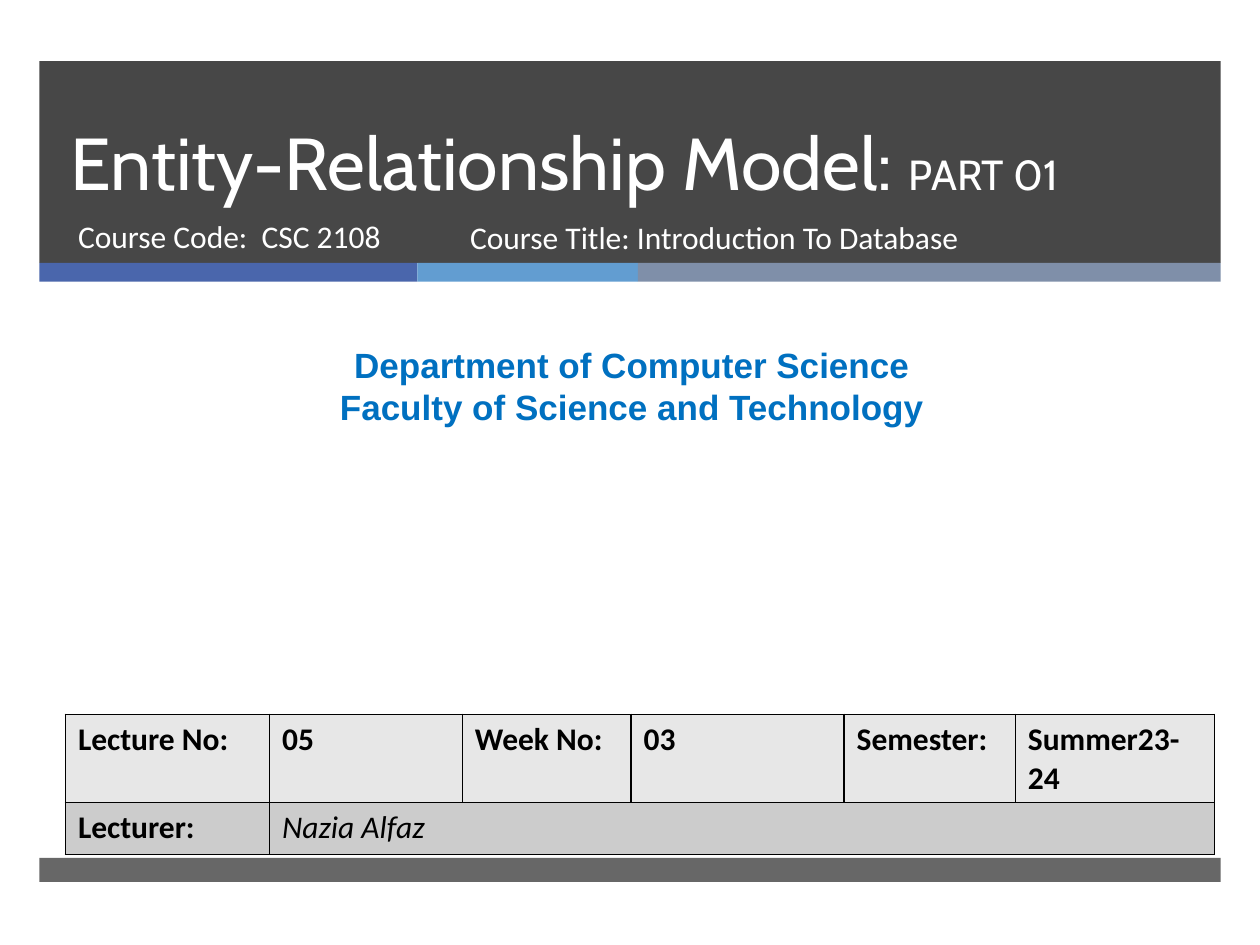
from lxml import etree
from pptx import Presentation
from pptx import util as u
from pptx.dml import color
from pptx.enum import shapes, text
from pptx.oxml import ns

Pt = u.Pt


def rgb(value):
    return color.RGBColor.from_string(value)


def write(para, words, font="Calibri", size=18, ink="FFFFFF", bold=False, italic=False):
    span = para.add_run()
    span.text = words
    span.font.name = font
    span.font.size = Pt(size)
    span.font.color.rgb = rgb(ink)
    span.font.bold = bold
    span.font.italic = italic
    return span


def add_band(page, left, top, width, height, fill):
    band = page.shapes.add_shape(
        shapes.MSO_SHAPE.RECTANGLE, Pt(left), Pt(top), Pt(width), Pt(height))
    band.shadow.inherit = False
    band.fill.solid()
    band.fill.fore_color.rgb = rgb(fill)
    band.line.fill.background()


def add_text(page, left, top, width, height, lines, align=text.PP_ALIGN.LEFT, **style):
    box = page.shapes.add_textbox(Pt(left), Pt(top), Pt(width), Pt(height))
    frame = box.text_frame
    frame.word_wrap = True
    for index, words in enumerate(lines):
        para = frame.add_paragraph() if index else frame.paragraphs[0]
        para.alignment = align
        write(para, words, **style)


def add_header(page, left, top, width, height):
    strip_height = 10.8
    strip_top = top + height - strip_height
    add_band(page, left, top, width, height - strip_height, "474747")
    strip_left = left
    for share, fill in ((216, "4A66AC"), (126, "629DD1"), (333, "7F8FA9")):
        strip_width = width * share / 675
        add_band(page, strip_left, strip_top, strip_width, strip_height, fill)
        strip_left += strip_width

    title = page.shapes.title
    title.left, title.top = Pt(left + 10.8), Pt(top)
    title.width, title.height = Pt(615), Pt(85.7)
    page.shapes._spTree.append(title.element)
    frame = title.text_frame
    frame.word_wrap = True
    frame.auto_size = text.MSO_AUTO_SIZE.NONE
    frame.vertical_anchor = text.MSO_ANCHOR.BOTTOM
    para = frame.paragraphs[0]
    para.alignment = text.PP_ALIGN.LEFT
    para.line_spacing = Pt(46)
    write(para, "Entity-Relationship Model: ", font="Cabin", size=42)
    write(para, "PART 01", font="Cabin", size=24)

    add_text(page, left + 15, top + 85.7, 219.6, 38.2, ["Course Code:  CSC 2108"])
    add_text(page, left + 239, top + 86, 327.6, 38.2,
             ["Course Title: Introduction To Database"])


def add_borders(cell, ink="000000", width=1):
    properties = cell._tc.get_or_add_tcPr()
    for index, side in enumerate(("a:lnL", "a:lnR", "a:lnT", "a:lnB")):
        line = etree.Element(ns.qn(side), w=str(Pt(width)))
        fill = etree.SubElement(line, ns.qn("a:solidFill"))
        etree.SubElement(fill, ns.qn("a:srgbClr"), val=ink)
        properties.insert(index, line)


def add_lecture_table(page, left, top, width, height):
    rows = (
        ("E7E7E7", ("Lecture No:", "05", "Week No:", "03", "Semester:", "Summer23-24")),
        ("CCCCCC", ("Lecturer:", "Nazia Alfaz", "", "", "", "")),
    )
    columns = (116.6, 110.2, 96.5, 121.7, 97.9, 113.8)
    table = page.shapes.add_table(
        len(rows), len(columns), Pt(left), Pt(top), Pt(width), Pt(height)).table
    for column, share in zip(table.columns, columns):
        column.width = Pt(width * share / sum(columns))
    lecturer_height = 29.5
    table.rows[0].height = Pt(height - lecturer_height)
    table.rows[1].height = Pt(lecturer_height)
    for row, (fill, entries) in enumerate(rows):
        for column, words in enumerate(entries):
            cell = table.cell(row, column)
            cell.fill.solid()
            cell.fill.fore_color.rgb = rgb(fill)
            add_borders(cell)
            if words:
                name = words == "Nazia Alfaz"
                write(cell.text_frame.paragraphs[0], words, ink="000000",
                      bold=not name, italic=name)
    table.cell(1, 1).merge(table.cell(1, 5))


def main():
    deck = Presentation()
    deck.slide_width, deck.slide_height = Pt(720), Pt(540)
    page = deck.slides.add_slide(deck.slide_layouts[5])
    add_header(page, 22.5, 35, 675, 126)
    add_band(page, 22.5, 490.3, 675, 13.6, "676767")
    add_text(page, 5.8, 193, 710.6, 55.4,
             ["Department of Computer Science", "Faculty of Science and Technology"],
             align=text.PP_ALIGN.CENTER, font="Arial", size=20, ink="0070C0", bold=True)
    add_lecture_table(page, 37.4, 408.2, 656.7, 80)
    deck.save("out.pptx")


if __name__ == "__main__":
    main()
